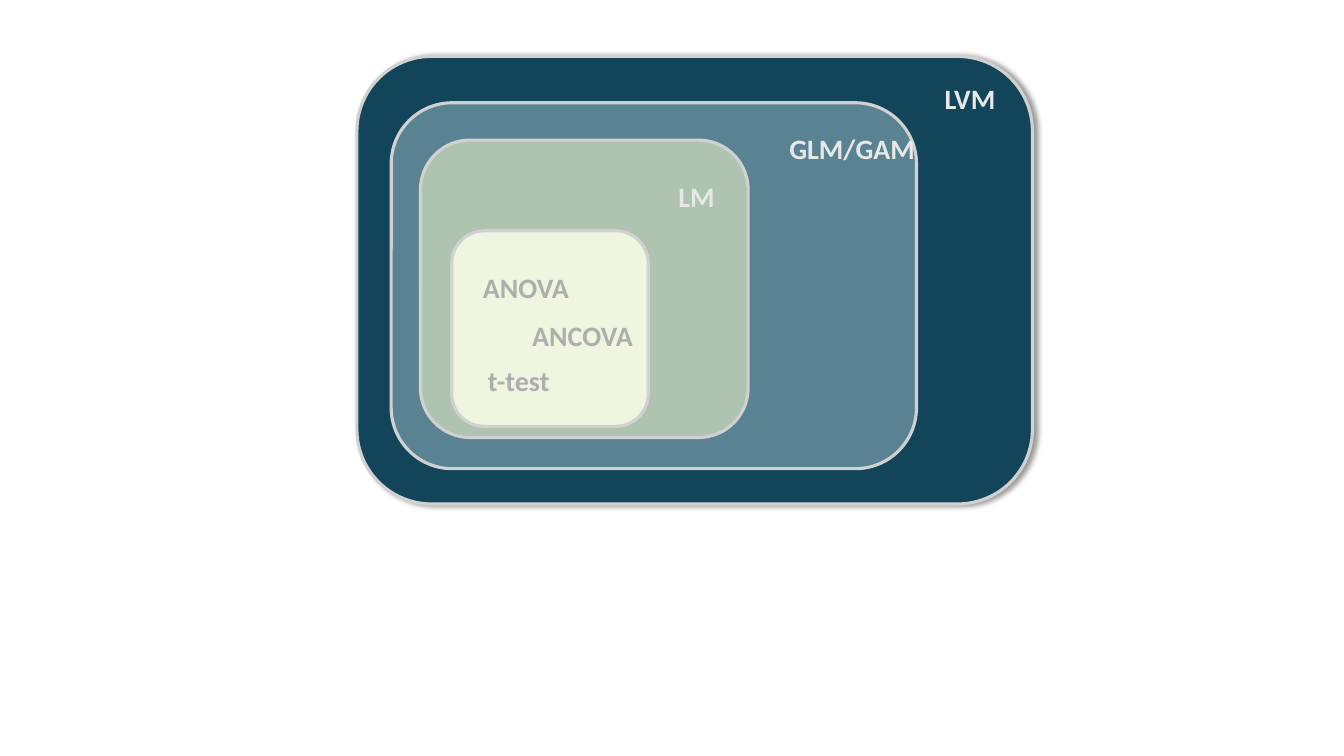
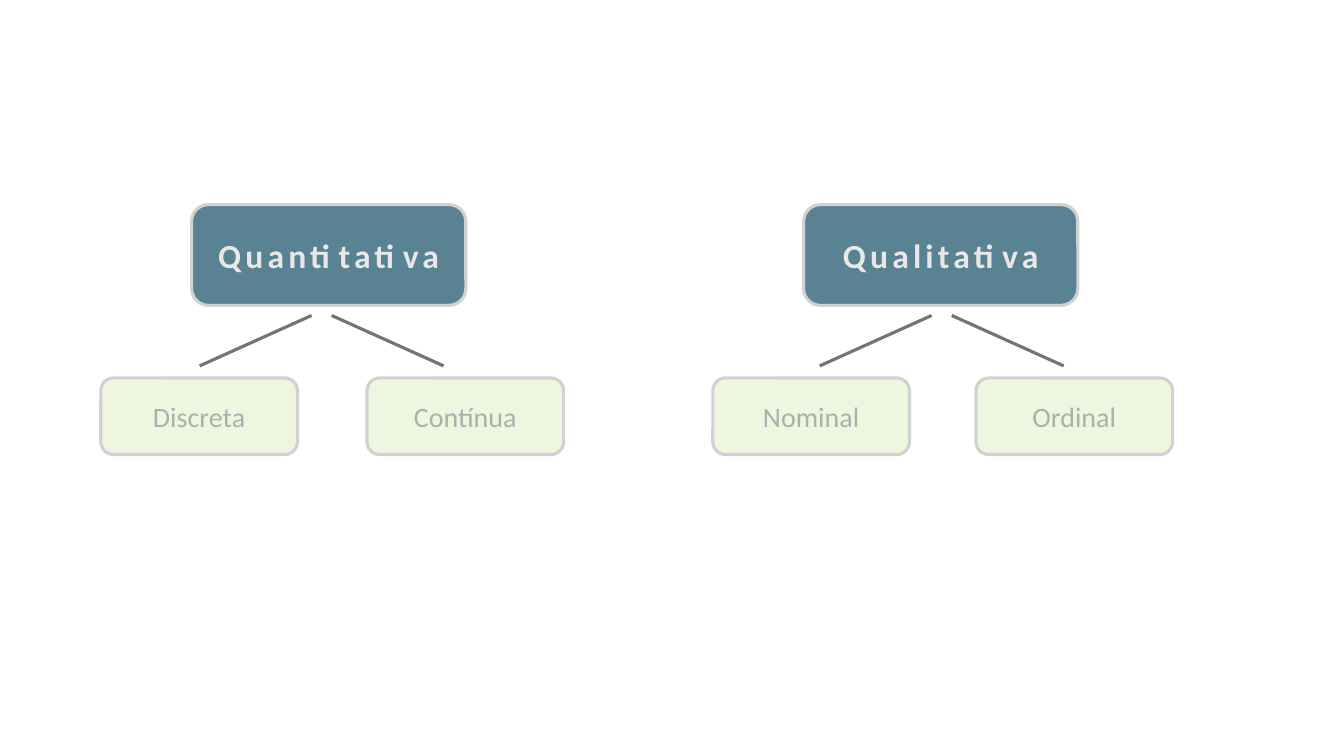
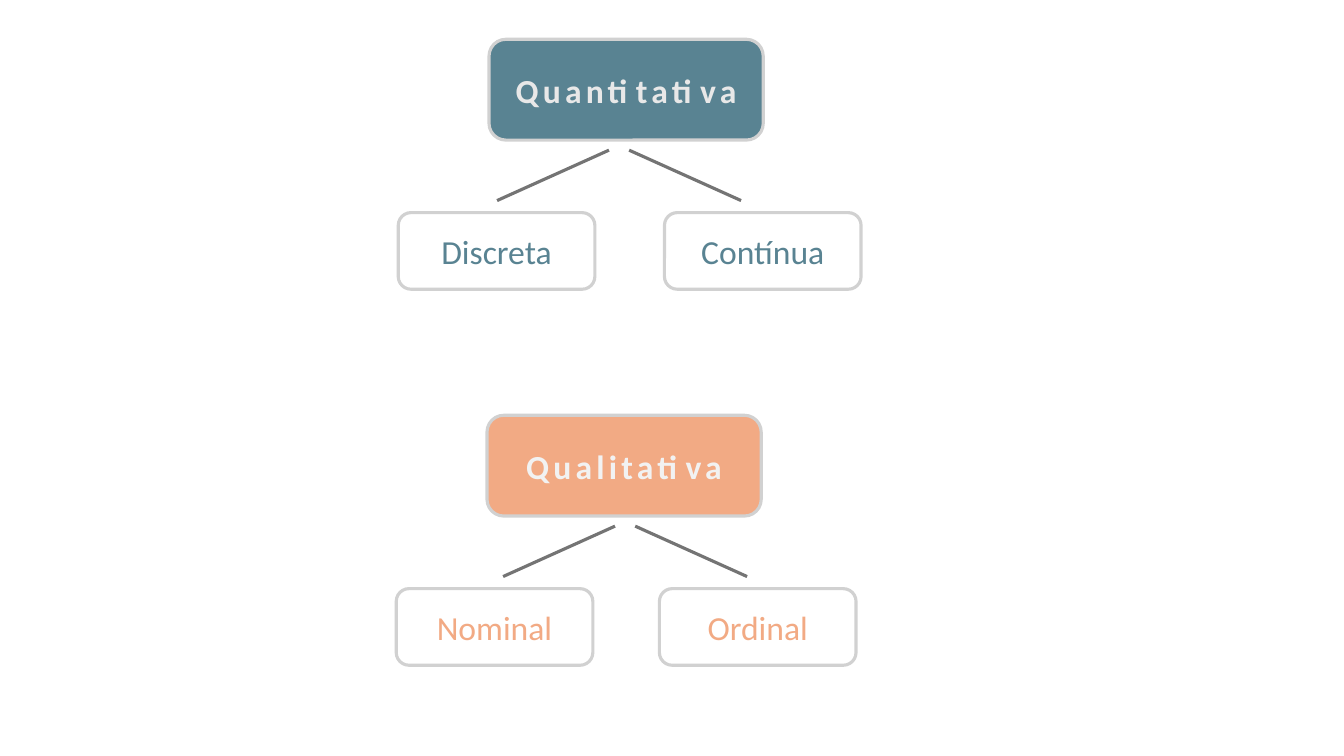
import dataclasses
import typing

import lxml.etree
import pptx
import pptx.dml.color
import pptx.enum.shapes
import pptx.enum.text
import pptx.oxml.ns
import pptx.util

Inches = pptx.util.Inches
Pt = pptx.util.Pt
qn = pptx.oxml.ns.qn

FONT = "Calibri"
NAVY, TEAL, SAGE, CREAM, ORANGE = "124559", "598392", "AEC3B0", "EFF6E0", "F2AA84"
BORDER, BRANCH, LIGHT, MUTED, PALE = "D1D1D1", "747474", "E8E8E8", "AEAEAE", "F2F2F2"
LINE_WIDTH = 2.25

ROOT_W, ROOT_H = 2.72, 1.0
LEAF_W, LEAF_H = 1.95, 0.76
LEAF_INDENT, LEAF_DROP = -0.9, 1.72
APEX_X, APEX_GAP = 1.29, 0.1
BRANCH_TOP, BRANCH_W, BRANCH_H = 1.1, 1.11, 0.5


@dataclasses.dataclass
class Layer:
    x: float
    y: float
    w: float
    h: float
    fill: str


@dataclasses.dataclass
class Label:
    text: str
    x: float
    y: float
    w: float
    color: str


@dataclasses.dataclass
class Tree:
    root: str
    leaves: tuple[str, str]
    x: float
    y: float
    leaf_step: float
    branch_shift: float = 0.0
    root_fill: str = TEAL
    root_color: str = LIGHT
    leaf_fill: typing.Optional[str] = CREAM
    leaf_color: str = MUTED
    leaf_size: int = 20


LAYERS = [
    Layer(3.54, 0.56, 6.7, 4.44, NAVY),
    Layer(3.88, 1.02, 5.21, 3.63, TEAL),
    Layer(4.17, 1.39, 3.25, 2.95, SAGE),
    Layer(4.48, 2.29, 1.95, 1.94, CREAM),
]
LABELS = [
    Label("LVM", 9.27, 0.76, 0.97, LIGHT),
    Label("GLM/GAM", 7.73, 1.26, 1.9, LIGHT),
    Label("LM", 6.63, 1.73, 0.59, LIGHT),
    Label("ANOVA", 4.69, 2.63, 1.52, MUTED),
    Label("ANCOVA", 5.18, 3.11, 1.52, MUTED),
    Label("t-test", 4.74, 3.56, 1.52, MUTED),
]
QUANTITATIVE = Tree("Quantitativa", ("Discreta", "Contínua"), 1.9, 2.03, 2.64)
QUALITATIVE = Tree("Qualitativa", ("Nominal", "Ordinal"), 7.97, 2.03, 2.61, 0.08)
TREE_SLIDES = [
    [QUANTITATIVE, QUALITATIVE],
    [
        dataclasses.replace(QUANTITATIVE, x=4.85, y=0.39, leaf_fill=None,
                            leaf_color=TEAL, leaf_size=24),
        dataclasses.replace(QUALITATIVE, x=4.83, y=4.12, root_fill=ORANGE, root_color=PALE,
                            leaf_fill=None, leaf_color=ORANGE, leaf_size=24),
    ],
]


def rgb(color: str) -> pptx.dml.color.RGBColor:
    return pptx.dml.color.RGBColor.from_string(color)


def add_run(p, text: str, size: int, color: str, bold: bool = False, spacing: int = 0) -> None:
    r = p.add_run()
    r.text = text
    r.font.name = FONT
    r.font.size = Pt(size)
    r.font.bold = bold
    r.font.color.rgb = rgb(color)
    if spacing:
        r._r.get_or_add_rPr().set("spc", str(spacing * 100))


def add_box(s, x: float, y: float, w: float, h: float, fill: typing.Optional[str]):
    sp = s.shapes.add_shape(pptx.enum.shapes.MSO_SHAPE.ROUNDED_RECTANGLE,
                            Inches(x), Inches(y), Inches(w), Inches(h))
    sp.shadow.inherit = False
    if fill:
        sp.fill.solid()
        sp.fill.fore_color.rgb = rgb(fill)
    else:
        sp.fill.background()
    sp.line.color.rgb = rgb(BORDER)
    sp.line.width = Pt(LINE_WIDTH)
    return sp


def add_node(s, x: float, y: float, w: float, h: float, fill: typing.Optional[str],
             text: str, size: int, color: str, bold: bool = False, spacing: int = 0) -> None:
    tf = add_box(s, x, y, w, h, fill).text_frame
    tf.word_wrap = True
    tf.vertical_anchor = pptx.enum.text.MSO_ANCHOR.MIDDLE
    p = tf.paragraphs[0]
    p.alignment = pptx.enum.text.PP_ALIGN.CENTER
    add_run(p, text, size, color, bold, spacing)


def add_shadow(sp) -> None:
    effects = sp._element.spPr.find(qn("a:effectLst"))
    shadow = lxml.etree.SubElement(effects, qn("a:outerShdw"), blurRad=str(Pt(4)),
                                   dist=str(Pt(3)), dir="0", algn="l", rotWithShape="0")
    color = lxml.etree.SubElement(shadow, qn("a:srgbClr"), val="000000")
    lxml.etree.SubElement(color, qn("a:alpha"), val="40000")


def add_label(s, label: Label) -> None:
    tf = s.shapes.add_textbox(Inches(label.x), Inches(label.y),
                              Inches(label.w), Inches(0.44)).text_frame
    tf.word_wrap = True
    tf.auto_size = pptx.enum.text.MSO_AUTO_SIZE.SHAPE_TO_FIT_TEXT
    add_run(tf.paragraphs[0], label.text, 20, label.color, bold=True)


def add_branch(s, x1: float, y1: float, x2: float, y2: float) -> None:
    line = s.shapes.add_connector(pptx.enum.shapes.MSO_CONNECTOR.STRAIGHT,
                                  Inches(x1), Inches(y1), Inches(x2), Inches(y2))
    line.line.color.rgb = rgb(BRANCH)
    line.line.width = Pt(LINE_WIDTH)
    lxml.etree.SubElement(line._element.spPr, qn("a:effectLst"))


def add_tree(s, tree: Tree) -> None:
    add_node(s, tree.x, tree.y, ROOT_W, ROOT_H, tree.root_fill,
             tree.root, 24, tree.root_color, bold=True, spacing=3)
    apex = tree.x + APEX_X + tree.branch_shift
    top = tree.y + BRANCH_TOP
    for i, (leaf, side) in enumerate(zip(tree.leaves, (-1, 1))):
        add_node(s, tree.x + LEAF_INDENT + i * tree.leaf_step, tree.y + LEAF_DROP,
                 LEAF_W, LEAF_H, tree.leaf_fill, leaf, tree.leaf_size, tree.leaf_color)
        start = apex + side * APEX_GAP
        add_branch(s, start, top, start + side * BRANCH_W, top + BRANCH_H)


def main() -> None:
    prs = pptx.Presentation()
    prs.slide_width = Inches(13.33)
    prs.slide_height = Inches(7.5)
    blank = prs.slide_layouts[6]

    s = prs.slides.add_slide(blank)
    boxes = [add_box(s, *dataclasses.astuple(layer)) for layer in LAYERS]
    add_shadow(boxes[0])
    for label in LABELS:
        add_label(s, label)

    for trees in TREE_SLIDES:
        s = prs.slides.add_slide(blank)
        for tree in trees:
            add_tree(s, tree)

    prs.save("out.pptx")


if __name__ == "__main__":
    main()
